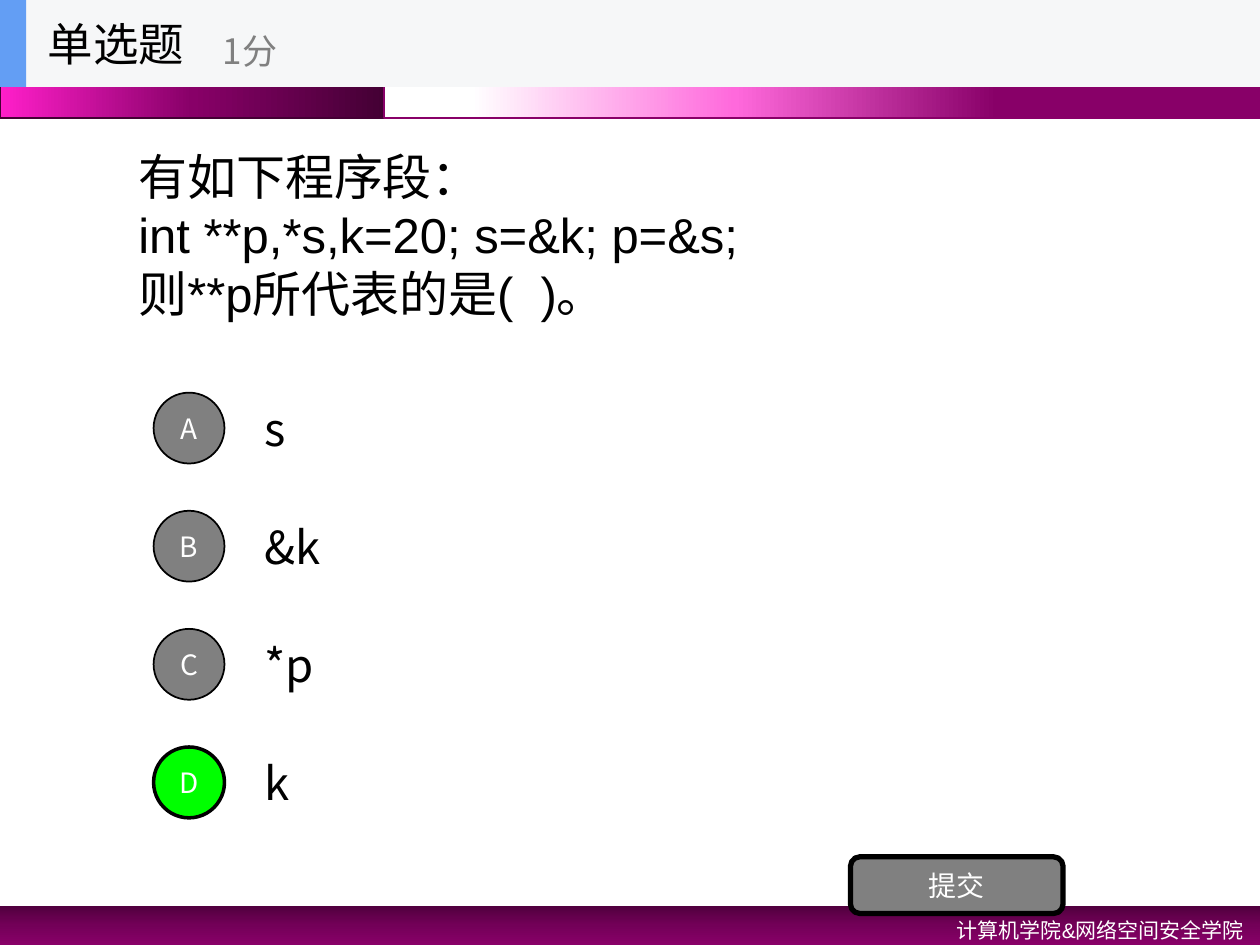
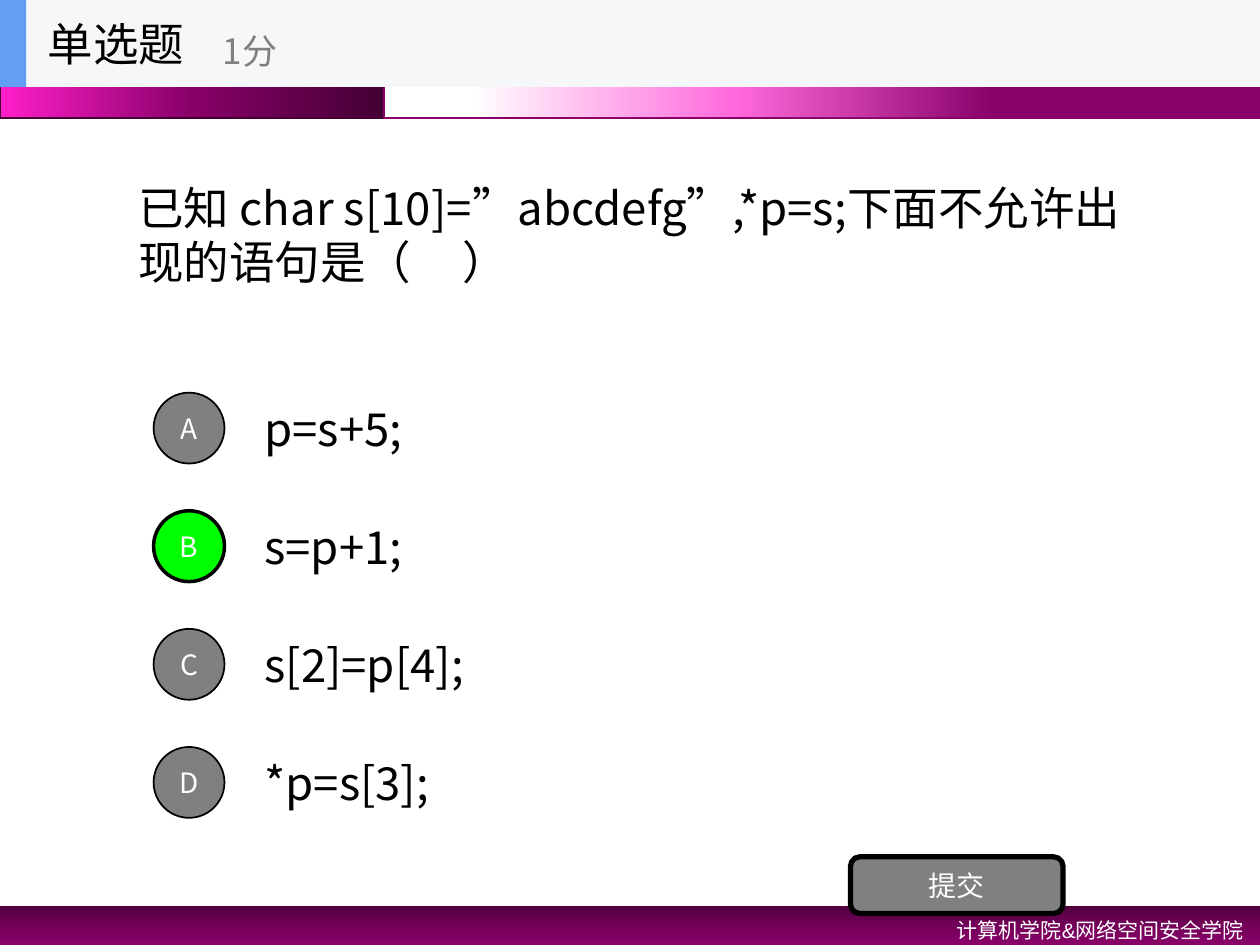
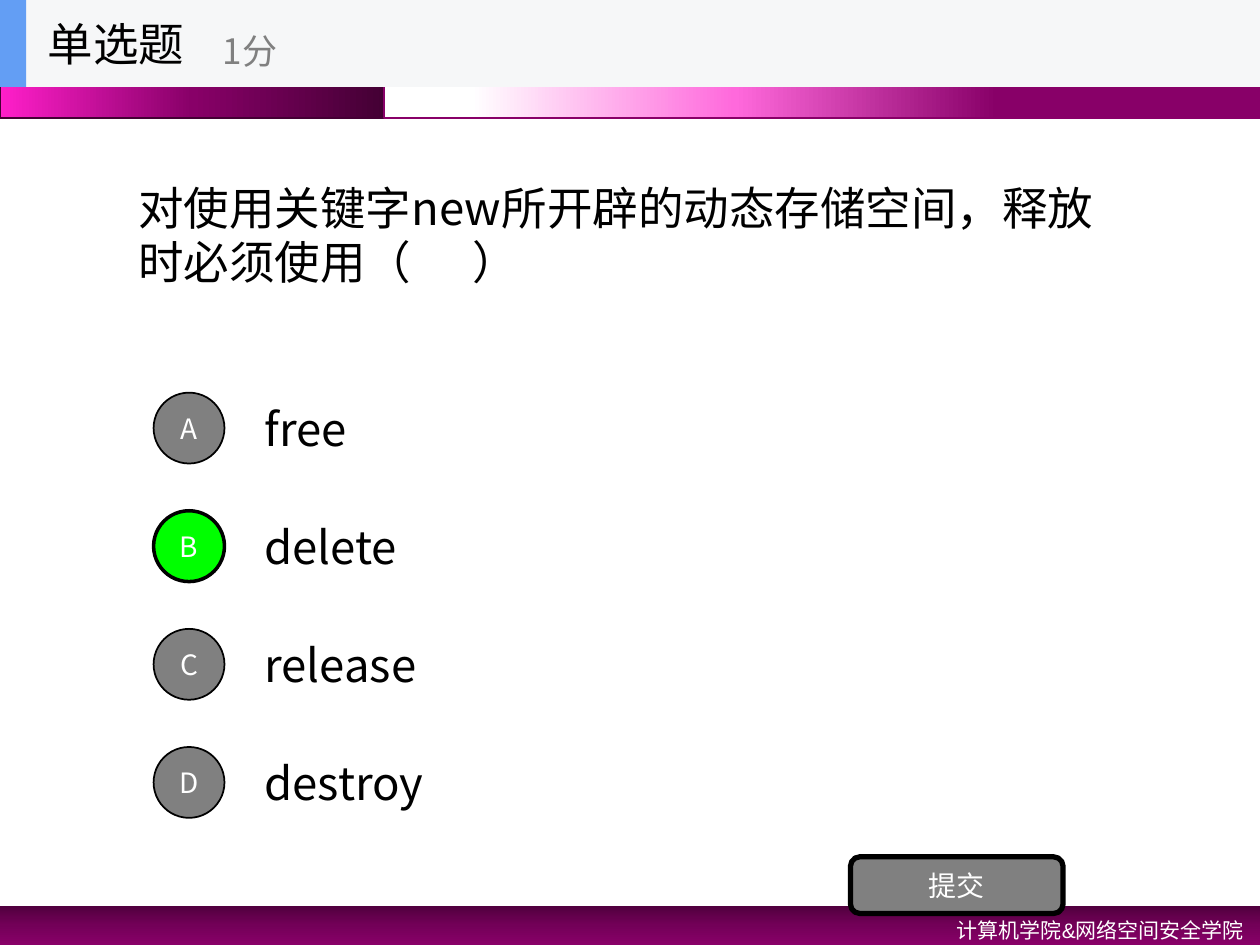
from lxml import etree
from pptx import Presentation
from pptx.dml.color import RGBColor
from pptx.enum.shapes import MSO_SHAPE
from pptx.enum.text import MSO_ANCHOR, PP_ALIGN
from pptx.oxml.ns import qn
from pptx.util import Pt

RECTANGLE = MSO_SHAPE.RECTANGLE
ROUNDED = MSO_SHAPE.ROUNDED_RECTANGLE
OVAL = MSO_SHAPE.OVAL
LEFT, CENTER, RIGHT = PP_ALIGN.LEFT, PP_ALIGN.CENTER, PP_ALIGN.RIGHT
TOP, MIDDLE = MSO_ANCHOR.TOP, MSO_ANCHOR.MIDDLE

SANS = "Noto Sans CJK SC"
ARIAL = "Arial"
BLACK, WHITE, GRAY, GREEN = "000000", "FFFFFF", "808080", "00FF00"
HEADER_GRAY, HEADER_BLUE = "F6F7F8", "639EF4"
DARK_PLUM, PLUM, PINK, MAGENTA = "440034", "880068", "FF69DC", "FF1FCA"

LEFT_BAND_STOPS = [(0, DARK_PLUM), (50, PLUM), (100, MAGENTA)]
RIGHT_BAND_STOPS = [(30, PLUM), (60, PINK), (90, WHITE)]
FOOTER_STOPS = [(0, "51003E"), (50, "730058"), (100, PLUM)]

WIDTH, HEIGHT = 720, 540
BANDS_BOX = (0, 0, WIDTH, 67.7)
FOOTER_BOX = (0, 517.7, WIDTH, 22.3)
HEADER_BOX = (0, 0, WIDTH, 49.7)
QUESTION_BOX = (72, 49.7, 576, 168.5)
OPTIONS_BOX = (87.75, 219.4, 560.25, 270)
BUTTON_BOX = (486, 489.6, 121.5, 32.4)

QUESTIONS = [
    {
        "lines": ["有如下程序段：", "int **p,*s,k=20; s=&k; p=&s;", "则**p所代表的是(  )。"],
        "font": ARIAL,
        "size": 28,
        "options": ["s", "&k", "*p", "k"],
        "answer": "D",
    },
    {
        "lines": ["已知 char s[10]=”abcdefg”,*p=s;下面不允许出现的语句是（     ）"],
        "font": SANS,
        "size": 26,
        "options": ["p=s+5;", "s=p+1;", "s[2]=p[4];", "*p=s[3];"],
        "answer": "B",
    },
    {
        "lines": ["对使用关键字new所开辟的动态存储空间，释放时必须使用（      ）"],
        "font": SANS,
        "size": 26,
        "options": ["free", "delete", "release", "destroy"],
        "answer": "B",
    },
]


def color(value):
    return RGBColor.from_string(value)


def points(box):
    return [Pt(length) for length in box]


def write(shape, lines, size, text_color, font=SANS, align=LEFT, anchor=MIDDLE, spacing=None):
    frame = shape.text_frame
    frame.word_wrap = True
    frame.vertical_anchor = anchor
    for index, line in enumerate(lines):
        paragraph = frame.add_paragraph() if index else frame.paragraphs[0]
        paragraph.alignment = align
        paragraph.line_spacing = spacing
        run = paragraph.add_run()
        run.text = line
        run.font.size = Pt(size)
        run.font.name = font
        run.font.color.rgb = color(text_color)
        east_asian = etree.SubElement(run.font._element, qn("a:ea"))
        east_asian.set("typeface", SANS)


def add_text(shapes, box, lines, size, text_color, **style):
    write(shapes.add_textbox(*points(box)), lines, size, text_color, **style)


def add_block(shapes, kind, box, fill=None, line=None, line_width=1):
    shape = shapes.add_shape(kind, *points(box))
    shape.shadow.inherit = False
    if fill:
        shape.fill.solid()
        shape.fill.fore_color.rgb = color(fill)
    if line:
        shape.line.color.rgb = color(line)
        shape.line.width = Pt(line_width)
    else:
        shape.line.fill.background()
    return shape


def add_gradient(shapes, box, stops, angle, line=None):
    shape = add_block(shapes, RECTANGLE, box, line=line)
    shape.fill.gradient()
    shape.fill.gradient_angle = angle
    stop_list = shape._element.spPr.find(qn("a:gradFill")).find(qn("a:gsLst"))
    for stop in list(stop_list):
        stop_list.remove(stop)
    for position, value in stops:
        stop = etree.SubElement(stop_list, qn("a:gs"), pos=str(position * 1000))
        etree.SubElement(stop, qn("a:srgbClr"), val=value)


def draw_bands(slide, box):
    left, top, width, height = box
    split = 219.6
    add_gradient(slide.shapes, (left, top, split, height), LEFT_BAND_STOPS, 180, DARK_PLUM)
    add_gradient(slide.shapes, (left + split, top, width - split, height), RIGHT_BAND_STOPS, 180, PLUM)


def draw_footer(slide, box):
    left, top, width, height = box
    add_gradient(slide.shapes, box, FOOTER_STOPS, 270)
    add_text(slide.shapes, (left + width - 257.8, top, 255.6, height), ["计算机学院&网络空间安全学院"],
             12, WHITE, font=ARIAL, align=RIGHT, anchor=TOP, spacing=1.2)


def draw_header(slide, box):
    left, top, width, height = box
    shapes = slide.shapes.add_group_shape().shapes
    add_block(shapes, RECTANGLE, box, HEADER_GRAY)
    add_block(shapes, RECTANGLE, (left, top, 15, height), HEADER_BLUE)
    add_text(shapes, (left + 20.2, top, 150, height), ["单选题"], 26, BLACK)
    add_text(shapes, (left + 120.2, top + 8.6, 180, 40.3), ["1分"], 20, GRAY)


def draw_question(slide, box, question):
    size = question["size"]
    add_text(slide.shapes, box, question["lines"], size, BLACK,
             font=question["font"], spacing=Pt(size * 1.2))


def draw_options(slide, box, options, answer):
    left, top, width, height = box
    pitch = height / len(options)
    circle, text_height, indent = 40.5, 50.4, 56.25
    for index, (letter, option) in enumerate(zip("ABCD", options)):
        row_top = top + index * pitch
        add_text(slide.shapes, (left + indent, row_top, width - indent, text_height), [option], 26, BLACK)
        circle_box = (left, row_top + (text_height - circle) / 2, circle, circle)
        fill, line_width = (GREEN, 2) if letter == answer else (GRAY, 1)
        marker = add_block(slide.shapes, OVAL, circle_box, fill, BLACK, line_width)
        write(marker, [letter], 16, WHITE, align=CENTER)


def draw_button(slide, box):
    button = add_block(slide.shapes, ROUNDED, box, GRAY, BLACK, 3)
    write(button, ["提交"], 16, WHITE, align=CENTER)


def build_question_slide(presentation, question):
    slide = presentation.slides.add_slide(presentation.slide_layouts[6])
    draw_bands(slide, BANDS_BOX)
    draw_footer(slide, FOOTER_BOX)
    draw_question(slide, QUESTION_BOX, question)
    draw_options(slide, OPTIONS_BOX, question["options"], question["answer"])
    draw_button(slide, BUTTON_BOX)
    draw_header(slide, HEADER_BOX)


def main():
    presentation = Presentation()
    presentation.slide_width = Pt(WIDTH)
    presentation.slide_height = Pt(HEIGHT)
    for question in QUESTIONS:
        build_question_slide(presentation, question)
    presentation.save("out.pptx")


if __name__ == "__main__":
    main()
